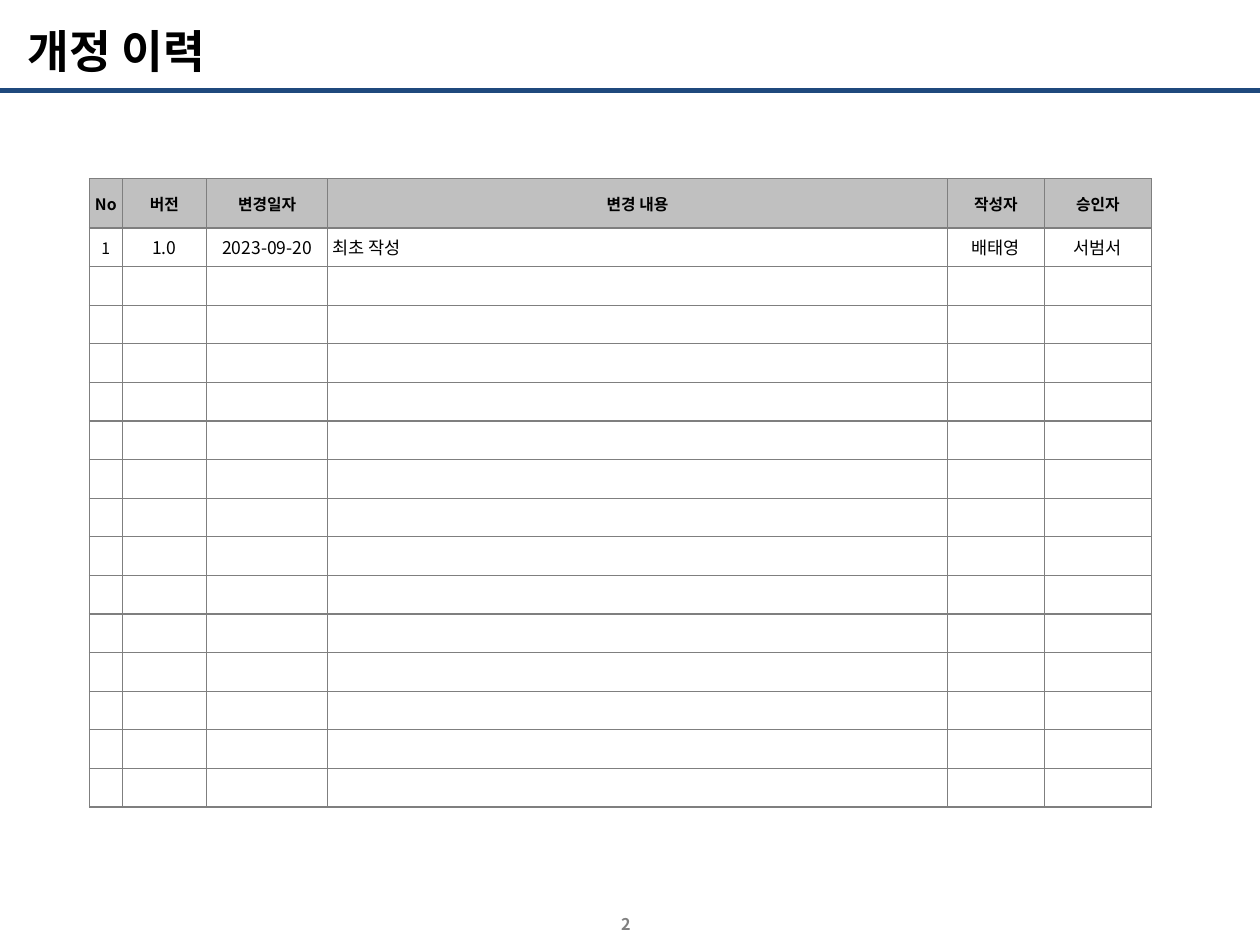
from lxml import etree
from pptx import Presentation
from pptx import util as u
from pptx.dml.color import RGBColor
from pptx.enum import shapes, text
from pptx.oxml.ns import qn

BLACK = RGBColor(0x00, 0x00, 0x00)
NAVY = RGBColor(0x1F, 0x49, 0x7D)
GRAY = RGBColor(0x80, 0x80, 0x80)
SILVER = RGBColor(0xC0, 0xC0, 0xC0)
WHITE = RGBColor(0xFF, 0xFF, 0xFF)
BORDER = RGBColor(0x7F, 0x7F, 0x7F)
FONT = "Noto Sans CJK KR"


def write(frame, words, size, bold=False, color=BLACK, align=text.PP_ALIGN.LEFT, spacing=None):
    paragraph = frame.paragraphs[0]
    paragraph.alignment = align
    if spacing:
        paragraph.line_spacing = spacing
    run = paragraph.add_run()
    run.text = words
    run.font.name = FONT
    run.font.size = u.Pt(size)
    run.font.bold = bold
    run.font.color.rgb = color
    etree.SubElement(run.font._element, qn("a:ea"), typeface=FONT)


def draw_borders(cell):
    properties = cell._tc.get_or_add_tcPr()
    for index, side in enumerate(("lnL", "lnR", "lnT", "lnB")):
        line = etree.Element(qn(f"a:{side}"), w=str(u.Pt(0.75)))
        fill = etree.SubElement(line, qn("a:solidFill"))
        etree.SubElement(fill, qn("a:srgbClr"), val=str(BORDER))
        properties.insert(index, line)


prs = Presentation()
prs.slide_width = u.Inches(10)
prs.slide_height = u.Inches(7.5)
slide = prs.slides.add_slide(prs.slide_layouts[6])

header_rule = slide.shapes.add_connector(
    shapes.MSO_CONNECTOR.STRAIGHT, u.Inches(10), u.Inches(0.72), u.Inches(0), u.Inches(0.72))
header_rule.line.color.rgb = NAVY
header_rule.line.width = u.Pt(3)
etree.SubElement(header_rule._element.spPr, qn("a:effectLst"))

page_number = slide.shapes.add_textbox(
    u.Inches(4.93), u.Inches(7.25), u.Inches(0.31), u.Inches(0.16)).text_frame
page_number.word_wrap = True
page_number.margin_left = page_number.margin_right = u.Inches(0)
page_number.margin_top = page_number.margin_bottom = u.Inches(0)
write(page_number, "2", size=9.2, bold=True, color=GRAY, spacing=u.Pt(11.3))

title = slide.shapes.add_textbox(
    u.Inches(0.13), u.Inches(0.18), u.Inches(4.29), u.Inches(0.48)).text_frame
title.word_wrap = True
title.margin_left = title.margin_right = u.Inches(0.09)
write(title, "개정 이력", size=25.9, bold=True, spacing=0.9)

headings = ["No", "버전", "변경일자", "변경 내용", "작성자", "승인자"]
revisions = [["1", "1.0", "2023-09-20", "최초 작성", "배태영", "서범서"]]
column_widths = [0.26, 0.67, 0.96, 4.92, 0.77, 0.85]
blank_count = 14
entries = [headings] + revisions + [[""] * len(headings)] * blank_count
history_height, heading_height = 4.99, 0.39
entry_height = (history_height - heading_height) / (len(entries) - 1)

history = slide.shapes.add_table(
    len(entries), len(headings), u.Inches(0.71), u.Inches(1.42),
    u.Inches(sum(column_widths)), u.Inches(history_height)).table
history.horz_banding = False
for column, width in zip(history.columns, column_widths):
    column.width = u.Inches(width)

for r, entry in enumerate(entries):
    is_heading = r == 0
    history.rows[r].height = u.Inches(heading_height if is_heading else entry_height)
    for c, words in enumerate(entry):
        cell = history.cell(r, c)
        cell.fill.solid()
        cell.fill.fore_color.rgb = SILVER if is_heading else WHITE
        cell.vertical_anchor = text.MSO_ANCHOR.MIDDLE
        cell.margin_left = cell.margin_right = u.Inches(0.04)
        cell.margin_top = cell.margin_bottom = u.Inches(0.04)
        draw_borders(cell)
        if words:
            is_description = not is_heading and headings[c] == "변경 내용"
            write(cell.text_frame, words, size=9 if is_heading or c == 0 else 10, bold=is_heading,
                  align=text.PP_ALIGN.LEFT if is_description else text.PP_ALIGN.CENTER)
        else:
            etree.SubElement(cell.text_frame.paragraphs[0]._p, qn("a:endParaRPr"), sz="900")

prs.save("out.pptx")
